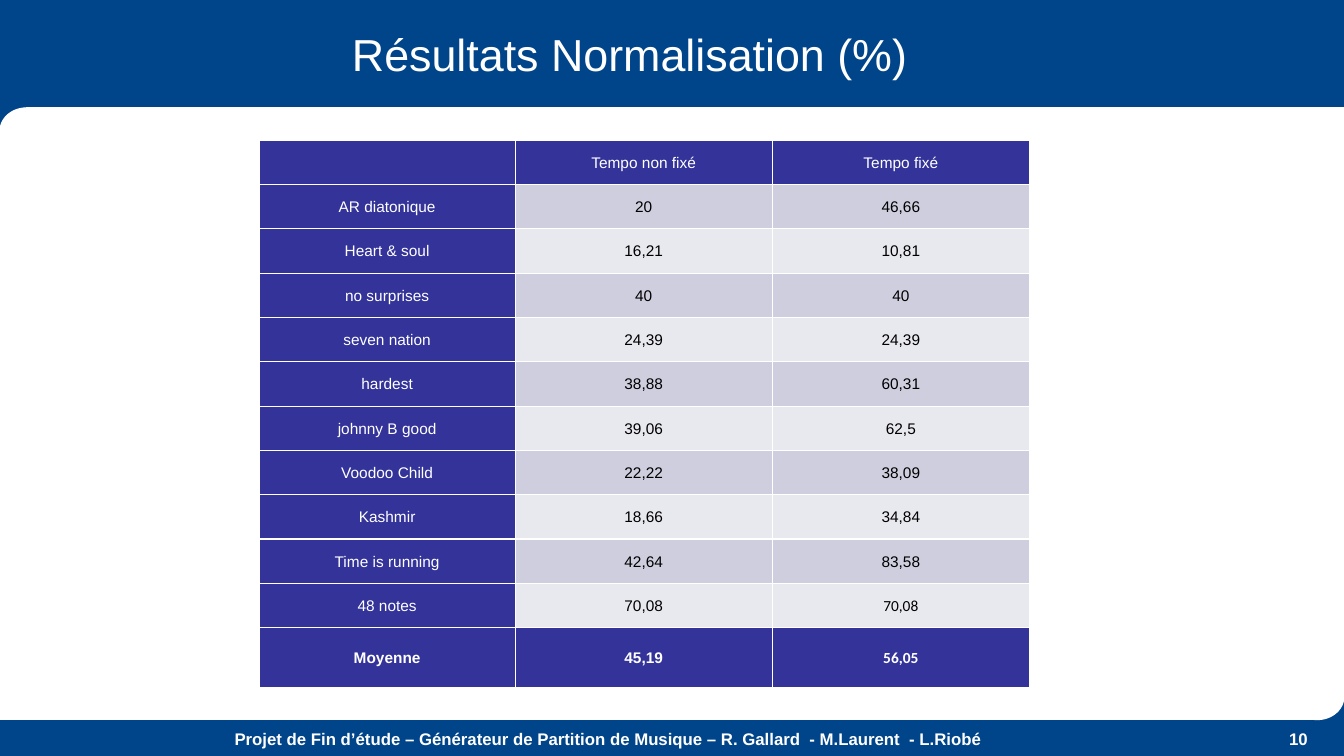
from lxml import etree
from pptx import Presentation
from pptx.dml.color import RGBColor
from pptx.enum.shapes import MSO_SHAPE
from pptx.enum.text import MSO_ANCHOR, PP_ALIGN
from pptx.oxml.ns import qn
from pptx.util import Inches, Pt

RECTANGLE, OVAL = MSO_SHAPE.RECTANGLE, MSO_SHAPE.OVAL
MIDDLE, TOP = MSO_ANCHOR.MIDDLE, MSO_ANCHOR.TOP
LEFT, CENTER, RIGHT = PP_ALIGN.LEFT, PP_ALIGN.CENTER, PP_ALIGN.RIGHT

BLUE, INDIGO, WHITE, BLACK = "004489", "333399", "FFFFFF", "000000"
BANDS = ("CECEDE", "E8E8EF")
TITLE = "Résultats Normalisation (%)"
FOOTER = ("Projet de Fin d’étude – Générateur de Partition de Musique"
          " – R. Gallard  - M.Laurent  - L.Riobé")
RESULTS = [
    ("", "Tempo non fixé", "Tempo fixé"),
    ("AR diatonique", "20", "46,66"),
    ("Heart & soul", "16,21", "10,81"),
    ("no surprises", "40", "40"),
    ("seven nation", "24,39", "24,39"),
    ("hardest", "38,88", "60,31"),
    ("johnny B good", "39,06", "62,5"),
    ("Voodoo Child", "22,22", "38,09"),
    ("Kashmir", "18,66", "34,84"),
    ("Time is running", "42,64", "83,58"),
    ("48 notes", "70,08", "70,08"),
    ("Moyenne", "45,19", "56,05"),
]
COLUMN_WIDTHS = (2.54, 2.55, 2.55)
ROW_HEIGHT, AVERAGE_HEIGHT = 0.44, 0.59


def rgb(color):
    return RGBColor.from_string(color)


def format_paragraph(paragraph, size, color, align, bold=False, font_name="Arial"):
    paragraph.alignment = align
    font = paragraph.font
    font.name, font.size, font.bold = font_name, Pt(size), bold
    font.color.rgb = rgb(color)


def add_panel(slide, left, top, width, height, edge_x=0.26, edge_y=0.19):
    """White panel: a centre, four edges and two opposite round corners."""
    right, bottom = left + width, top + height
    long_x, long_y = width - edge_x, height - edge_y
    corner_width, corner_height = 0.53, 0.46
    pieces = [
        (RECTANGLE, left, bottom - edge_y, long_x, edge_y),
        (OVAL, left, top, corner_width, corner_height),
        (OVAL, right - corner_width, bottom - corner_height,
         corner_width, corner_height),
        (RECTANGLE, left + edge_x, top, long_x, edge_y),
        (RECTANGLE, left, top + edge_y, edge_x, long_y),
        (RECTANGLE, right - edge_x, top, edge_x, long_y),
        (RECTANGLE, left + edge_x, top + edge_y, long_x - edge_x, long_y - edge_y),
    ]
    panel = slide.shapes.add_group_shape()
    for preset, *box in pieces:
        piece = panel.shapes.add_shape(preset, *map(Inches, box))
        piece.shadow.inherit = False
        piece.fill.solid()
        piece.fill.fore_color.rgb = rgb(WHITE)
        piece.line.color.rgb = rgb(WHITE)
        piece.line.width = Pt(0.75)


def place_title(slide, left, top, width, height):
    title = slide.shapes.title
    title.left, title.top = Inches(left), Inches(top)
    title.width, title.height = Inches(width), Inches(height)
    title.text_frame.text = TITLE
    title.text_frame.vertical_anchor = MIDDLE
    format_paragraph(title.text_frame.paragraphs[0], 32, WHITE, LEFT)


def add_footer_text(slide, left, top, width, height, text, align):
    box = slide.shapes.add_textbox(
        Inches(left), Inches(top), Inches(width), Inches(height))
    box.text_frame.word_wrap = True
    box.text_frame.vertical_anchor = TOP
    box.text_frame.text = text
    format_paragraph(box.text_frame.paragraphs[0], 12, WHITE, align, bold=True)


def add_footer(slide, left, top, width, height, number_width=1.26):
    text_width = width - number_width
    add_footer_text(slide, left, top, text_width, height, FOOTER, CENTER)
    add_footer_text(slide, left + text_width, top, number_width, height, "10", RIGHT)


def set_borders(cell, color, points):
    """Draw the four sides; they must come before the fill in the cell's XML."""
    properties = cell._tc.get_or_add_tcPr()
    for position, side in enumerate(("lnL", "lnR", "lnT", "lnB")):
        line = etree.Element(qn(f"a:{side}"), w=str(Pt(points)))
        fill = etree.SubElement(line, qn("a:solidFill"))
        etree.SubElement(fill, qn("a:srgbClr"), val=color)
        properties.insert(position, line)


def format_cell(cell, text, fill, color, bold, font_name):
    cell.text = text
    cell.vertical_anchor = MIDDLE
    cell.margin_left = cell.margin_right = Inches(0.08)
    cell.margin_top = cell.margin_bottom = 0
    cell.fill.solid()
    cell.fill.fore_color.rgb = rgb(fill)
    set_borders(cell, WHITE, 1)
    paragraph = cell.text_frame.paragraphs[0]
    paragraph.line_spacing = 1.07
    format_paragraph(paragraph, 11, color, CENTER, bold, font_name)


def add_results_table(slide, left, top):
    last_row, last_column = len(RESULTS) - 1, len(COLUMN_WIDTHS) - 1
    height = ROW_HEIGHT * last_row + AVERAGE_HEIGHT
    table = slide.shapes.add_table(
        len(RESULTS), len(COLUMN_WIDTHS), Inches(left), Inches(top),
        Inches(sum(COLUMN_WIDTHS)), Inches(height)).table
    for column, width in zip(table.columns, COLUMN_WIDTHS):
        column.width = Inches(width)
    for row_index, values in enumerate(RESULTS):
        is_average = row_index == last_row
        table.rows[row_index].height = Inches(
            AVERAGE_HEIGHT if is_average else ROW_HEIGHT)
        for column_index, text in enumerate(values):
            is_heading = row_index == 0 or column_index == 0 or is_average
            fill = INDIGO if is_heading else BANDS[(row_index - 1) % 2]
            in_calibri = column_index == last_column and row_index >= last_row - 1
            format_cell(table.cell(row_index, column_index), text, fill,
                        WHITE if is_heading else BLACK, is_average,
                        "Calibri" if in_calibri else "Arial")


def build_results_slide(presentation):
    slide = presentation.slides.add_slide(presentation.slide_layouts[5])
    slide.background.fill.solid()
    slide.background.fill.fore_color.rgb = rgb(BLUE)
    add_panel(slide, 0, 1.07, 13.33, 6.07)
    place_title(slide, 3.39, 0.26, 7.81, 0.54)
    add_results_table(slide, 2.57, 1.39)
    add_footer(slide, 0.26, 7.18, 12.81, 0.39)


def main():
    presentation = Presentation()
    presentation.slide_width = Inches(13.33)
    presentation.slide_height = Inches(7.5)
    build_results_slide(presentation)
    presentation.save("out.pptx")


if __name__ == "__main__":
    main()
